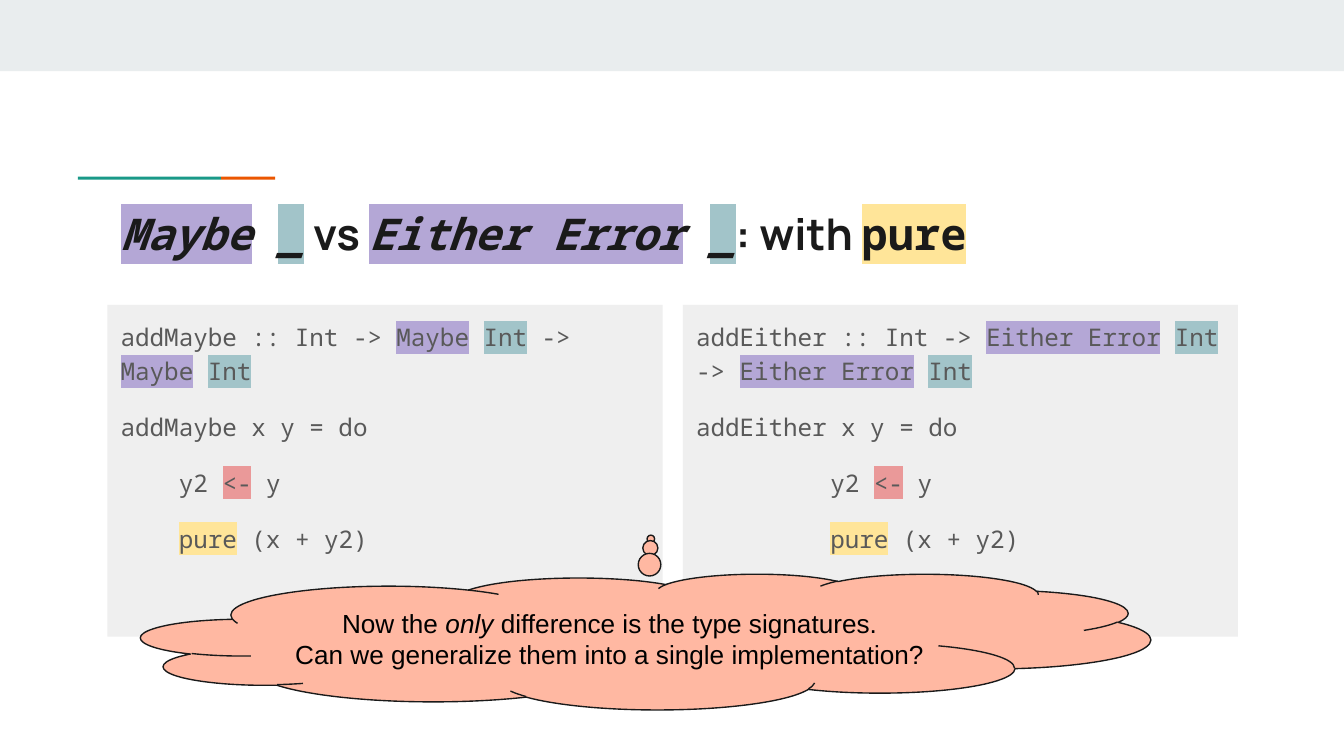
from lxml.etree import SubElement
from pptx import Presentation
from pptx.dml.color import RGBColor
from pptx.enum.shapes import MSO_SHAPE
from pptx.enum.text import MSO_ANCHOR, MSO_AUTO_SIZE, PP_ALIGN
from pptx.oxml.ns import qn
from pptx.util import Pt

COLORS = {
    "band": "E9EDEE", "teal": "1A9988", "orange": "EB5600", "panel": "EFEFEF",
    "cloud": "FFB8A2", "ink": "1A1A1A", "code": "595959", "black": "000000",
    "type": "B4A7D6", "arg": "A2C4C9", "bind": "EA9999", "pure": "FFE599",
}
MONO, SANS, BODY = "Noto Sans Mono", "Manrope", "Arial"


class Deck:
    """Hold the style and current slide, and draw each kind of element."""

    def __init__(self):
        self.prs = Presentation()
        self.prs.slide_width, self.prs.slide_height = Pt(720), Pt(405)
        self.slide = self.prs.slides.add_slide(self.prs.slide_layouts[5])

    def color(self, name):
        return RGBColor.from_string(COLORS[name])

    def shape(self, kind, box, fill, line=None):
        item = self.slide.shapes.add_shape(kind, *map(Pt, box))
        item.shadow.inherit = False
        item.fill.solid()
        item.fill.fore_color.rgb = self.color(fill)
        if line:
            item.line.color.rgb = self.color(line)
            item.line.width = Pt(0.75)
        else:
            item.line.fill.background()
        return item

    def frame(self, item, anchor=MSO_ANCHOR.TOP):
        text = item.text_frame
        text.word_wrap = True
        text.auto_size = MSO_AUTO_SIZE.NONE
        text.vertical_anchor = anchor
        text.margin_left = text.margin_right = Pt(7.2)
        text.margin_top = text.margin_bottom = Pt(7.2)
        return text

    def fill_runs(self, para, runs, size, color, font, bold=False):
        for words, mark, italic, face in runs:
            run = para.add_run()
            run.text = words
            run.font.size, run.font.name = Pt(size), face or font
            run.font.bold, run.font.italic = bold, italic
            run.font.color.rgb = self.color(color)
            if mark:
                props = run._r.get_or_add_rPr()
                light = SubElement(props, qn("a:highlight"))
                SubElement(light, qn("a:srgbClr")).set("val", COLORS[mark])
                props.find(qn("a:solidFill")).addnext(light)

    def title(self, box, runs):
        item = self.slide.shapes.title
        item.left, item.top, item.width, item.height = map(Pt, box)
        para = self.frame(item).paragraphs[0]
        para.alignment = PP_ALIGN.LEFT
        self.fill_runs(para, runs, 23.4, "ink", MONO, True)

    def panel(self, box, lines):
        text = self.frame(self.shape(MSO_SHAPE.RECTANGLE, box, "panel"))
        for num, (indent, runs) in enumerate(lines):
            para = text.add_paragraph() if num else text.paragraphs[0]
            para.alignment = PP_ALIGN.LEFT
            para.line_spacing = 1.15
            para.space_before = Pt(12 if num else 0)
            if indent:
                para._p.get_or_add_pPr().set("marL", str(Pt(indent)))
            self.fill_runs(para, runs, 13, "code", MONO)

    def cloud(self, box, tail, lines):
        item = self.shape(MSO_SHAPE.CLOUD_CALLOUT, box, "cloud", "ink")
        item.adjustments[0], item.adjustments[1] = tail
        text = self.frame(item, MSO_ANCHOR.MIDDLE)
        for num, runs in enumerate(lines):
            para = text.add_paragraph() if num else text.paragraphs[0]
            para.alignment = PP_ALIGN.CENTER
            self.fill_runs(para, runs, 14, "black", BODY)


def run(words, mark=None, italic=False, face=None):
    return words, mark, italic, face


def code(name, kind, indent):
    result = [run(kind, "type"), run(" "), run("Int", "arg")]
    return [
        (0, [run(f"{name} :: Int -> "), *result, run(" -> "), *result]),
        (0, [run(f"{name} x y = do")]),
        (indent, [run("y2 "), run("<-", "bind"), run(" y")]),
        (indent, [run("pure", "pure"), run(" (x + y2)")]),
    ]


def kind(name):
    return [run(name, "type", True), run(" ", None, True), run("_", "arg", True)]


def main():
    deck = Deck()
    deck.shape(MSO_SHAPE.RECTANGLE, (0, 0, 720, 38.2), "band")
    deck.shape(MSO_SHAPE.RECTANGLE, (41.8, 94.7, 76.6, 1.6), "teal")
    deck.shape(MSO_SHAPE.RECTANGLE, (118.4, 94.7, 29, 1.6), "orange")
    deck.title((57.6, 103.7, 605.5, 42.5), [
        *kind("Maybe"), run(" vs ", face=SANS),
        *kind("Either Error"), run(": with ", face=SANS), run("pure", "pure"),
    ])
    sides = [("addMaybe", "Maybe", 31.2), ("addEither", "Either Error", 72)]
    for num, side in enumerate(sides):
        deck.panel((57.6 + 308.2 * num, 163.4, 297.4, 177.8), code(*side))
    deck.cloud((75.6, 307.4, 540.7, 72.7), (0.005, -0.757), [
        [run("Now the "), run("only", italic=True),
         run(" difference is the type signatures.")],
        [run("Can we generalize them into a single implementation?")],
    ])
    deck.prs.save("out.pptx")


if __name__ == "__main__":
    main()
